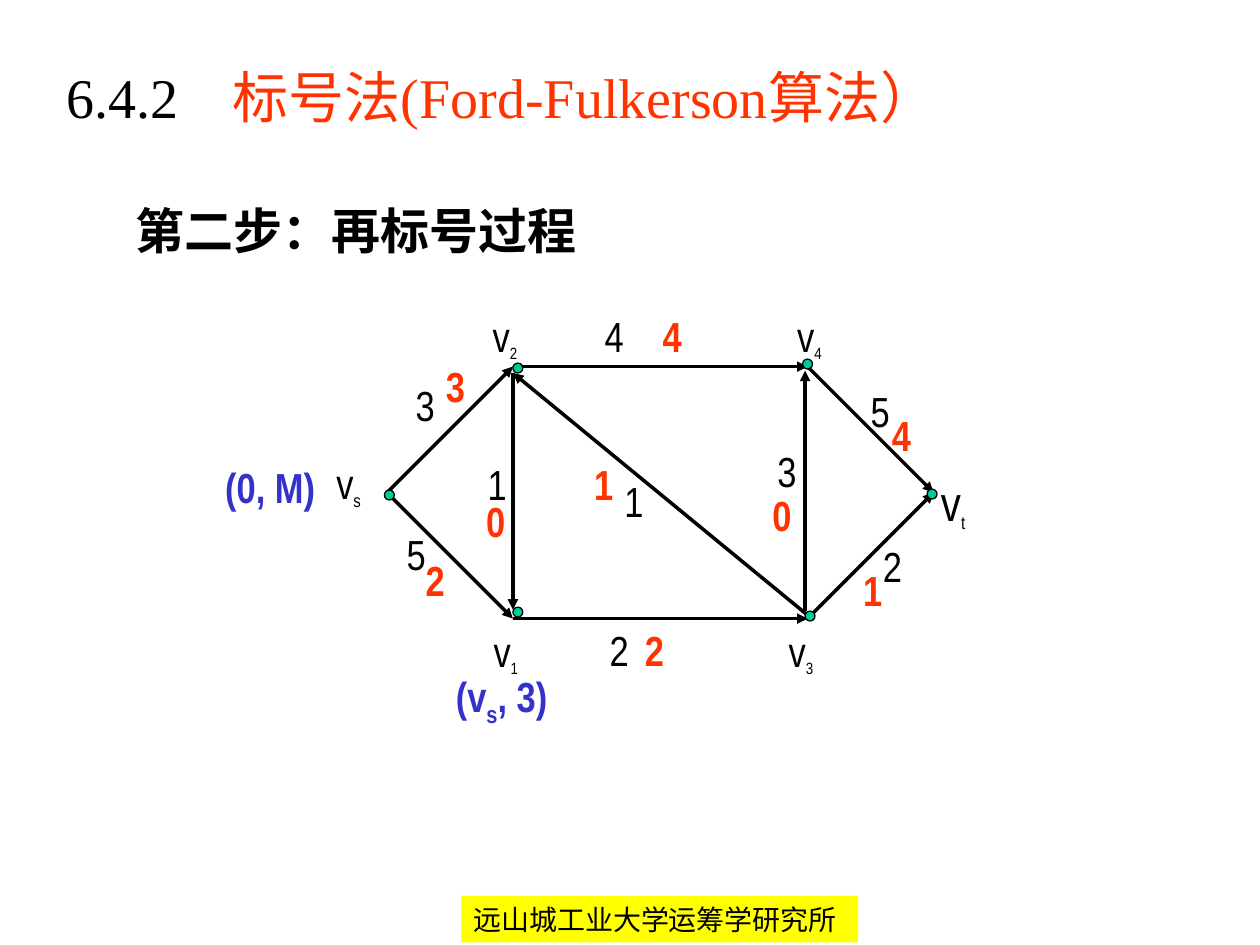
from dataclasses import dataclass

from lxml import etree
from pptx import Presentation
from pptx.dml.color import RGBColor
from pptx.enum.shapes import MSO_CONNECTOR, MSO_SHAPE
from pptx.enum.text import MSO_ANCHOR, MSO_AUTO_SIZE, PP_ALIGN
from pptx.oxml.ns import qn
from pptx.util import Cm, Pt

LINE = MSO_CONNECTOR.STRAIGHT
RECT = MSO_SHAPE.RECTANGLE
OVAL = MSO_SHAPE.OVAL
TOP = MSO_ANCHOR.TOP
FIXED = MSO_AUTO_SIZE.NONE
LEFT = PP_ALIGN.LEFT

BLACK, RED, BLUE = "000000", "FF3300", "3333CC"
GREEN, YELLOW = "00CC99", "FFFF00"
NARROW, SANS, SERIF = "Arial Narrow", "Noto Sans CJK SC", "Times New Roman"
DOT = 0.2


@dataclass
class Word:
    text: str
    size: float = 24
    color: str = BLACK
    bold: bool = False
    font: str = NARROW
    sub: bool = False


@dataclass
class Label:
    x: float
    y: float
    w: float
    h: float
    words: list[Word]
    pad: tuple[float, float] = (0.25, 0.13)


@dataclass
class Edge:
    x1: float
    y1: float
    x2: float
    y2: float


def rgb(code: str) -> RGBColor:
    return RGBColor.from_string(code)


def write(frame, words: list[Word], pad=(0.25, 0.13)) -> None:
    frame.word_wrap = True
    frame.auto_size = FIXED
    frame.vertical_anchor = TOP
    frame.margin_left = frame.margin_right = Cm(pad[0])
    frame.margin_top = frame.margin_bottom = Cm(pad[1])
    para = frame.paragraphs[0]
    para.alignment = LEFT
    for word in words:
        run = para.add_run()
        run.text = word.text
        run.font.size = Pt(word.size)
        run.font.bold = word.bold
        run.font.color.rgb = rgb(word.color)
        run.font.name = word.font
        props = run._r.get_or_add_rPr()
        etree.SubElement(props, qn("a:ea"), typeface=SANS)
        if word.sub:
            props.set("baseline", "-25000")


def place(shape, x: float, y: float, w: float, h: float) -> None:
    shape.left, shape.top = Cm(x), Cm(y)
    shape.width, shape.height = Cm(w), Cm(h)


def add_label(slide, tag: Label) -> None:
    box = slide.shapes.add_textbox(Cm(tag.x), Cm(tag.y), Cm(tag.w), Cm(tag.h))
    write(box.text_frame, tag.words, tag.pad)


def add_edge(slide, edge: Edge) -> None:
    line = slide.shapes.add_connector(
        LINE, Cm(edge.x1), Cm(edge.y1), Cm(edge.x2), Cm(edge.y2))
    line.line.color.rgb = rgb(BLACK)
    line.line.width = Pt(2)
    props = line._element.spPr
    etree.SubElement(props.find(qn("a:ln")), qn("a:tailEnd"), type="triangle")
    etree.SubElement(props, qn("a:effectLst"))


def add_dot(slide, x: float, y: float) -> None:
    dot = slide.shapes.add_shape(OVAL, Cm(x), Cm(y), Cm(DOT), Cm(DOT))
    dot.shadow.inherit = False
    dot.fill.solid()
    dot.fill.fore_color.rgb = rgb(GREEN)
    dot.line.color.rgb = rgb(BLACK)
    dot.line.width = Pt(0.75)


def add_head(slide) -> None:
    title = slide.shapes.title
    place(title, 1.09, 1.12, 22.81, 2.11)
    write(title.text_frame, [
        Word("6.4.2\t", 32, BLACK, font=SERIF),
        Word("标号法(Ford-Fulkerson算法）", 32, RED, font=SERIF)])
    props = title.text_frame.paragraphs[0]._p.get_or_add_pPr()
    tabs = etree.SubElement(props, qn("a:tabLst"))
    etree.SubElement(tabs, qn("a:tab"), pos=str(Cm(3.35)), algn="l")

    body = slide.placeholders[1]
    place(body, 2.49, 3.73, 18.8, 1.8)
    write(body.text_frame, [Word("第二步：再标号过程", 28, bold=True, font=SANS)])
    para = body.text_frame.paragraphs[0]
    para.line_spacing = 1.15
    para.space_before = Pt(0)
    props = para._p.get_or_add_pPr()
    props.set("marL", "0")
    props.set("indent", "0")
    etree.SubElement(props, qn("a:buNone"))


def add_foot(slide) -> None:
    bar = slide.shapes.add_shape(RECT, Cm(9.3), Cm(18.06), Cm(8), Cm(0.94))
    bar.shadow.inherit = False
    bar.fill.solid()
    bar.fill.fore_color.rgb = rgb(YELLOW)
    bar.line.fill.background()
    write(bar.text_frame, [Word("远山城工业大学运筹学研究所", 16, font=SANS)])


X1, X2, X3, X4 = 7.8, 10.34, 16.28, 18.82
Y1, Y2, Y3 = 7.39, 9.93, 12.47

EDGES = [
    Edge(X2, Y1, X3, Y1), Edge(X2, 7.52, X2, 12.29),
    Edge(X1, Y2, X2, Y1), Edge(X1, Y2, X2, Y3),
    Edge(X2, Y3, X3, Y3), Edge(X3, Y1, X4, Y2),
    Edge(X3, Y3, X4, Y2), Edge(X3, 12.4, X2, 7.52),
    Edge(16.23, 12.32, 16.23, 7.47),
]
DOTS = [(7.75, 9.88), (10.34, 7.32), (16.18, 7.24),
        (18.69, 9.86), (10.34, 12.24), (16.23, 12.32)]
NODES = [("2", 9.68, 6.12, 1.7), ("4", 15.82, 6.12, 1.7),
         ("1", 9.7, 12.47, 2.34), ("3", 15.65, 12.47, 1.9)]
CAPS = [("1", 9.58, 9.12, 0.94), ("3", 8.13, 7.52, 1.4),
        ("5", 7.95, 10.52, 0.91), ("2", 12.04, 12.45, 1.07),
        ("3", 15.42, 8.86, 0.86), ("2", 17.55, 10.77, 1.35),
        ("5", 17.3, 7.65, 1.4), ("1", 12.34, 9.45, 0.84),
        ("4", 11.94, 6.12, 1.07)]
FLOWS = [("3", 8.74, 7.14), ("4", 13.11, 6.12), ("2", 12.75, 12.45),
         ("0", 15.32, 9.73), ("4", 17.73, 8.13), ("2", 8.33, 11.05),
         ("0", 9.55, 9.86), ("1", 11.73, 9.12), ("1", 17.15, 11.25)]

LABELS = [
    *[Label(x, y, w, 1.32, [Word("v"), Word(n, 16, sub=True)])
      for n, x, y, w in NODES],
    Label(6.53, 9.09, 1.47, 1.35, [Word("v"), Word("s", 18, sub=True)]),
    Label(18.82, 9.5, 1.09, 1.27,
          [Word("v", 28), Word("t", 18, sub=True)], (0.15, 0.03)),
    *[Label(x, y, w, 1.27, [Word(n)]) for n, x, y, w in CAPS],
    *[Label(x, y, 0.84, 1.27, [Word(n, 24, RED, True)]) for n, x, y in FLOWS],
    Label(4.29, 9.17, 2.39, 1.27, [Word("(0, M)", 24, BLUE, True)]),
    Label(8.94, 13.39, 2.59, 1.42, [
        Word("(v", 24, BLUE, True), Word("s", 24, BLUE, True, sub=True),
        Word(", 3)", 24, BLUE, True)]),
]


def main() -> None:
    deck = Presentation()
    deck.slide_width, deck.slide_height = Cm(25.4), Cm(19.05)
    slide = deck.slides.add_slide(deck.slide_layouts[1])
    add_foot(slide)
    add_head(slide)
    for edge in EDGES:
        add_edge(slide, edge)
    for tag in LABELS:
        add_label(slide, tag)
    for x, y in DOTS:
        add_dot(slide, x, y)
    deck.save("out.pptx")


if __name__ == "__main__":
    main()
